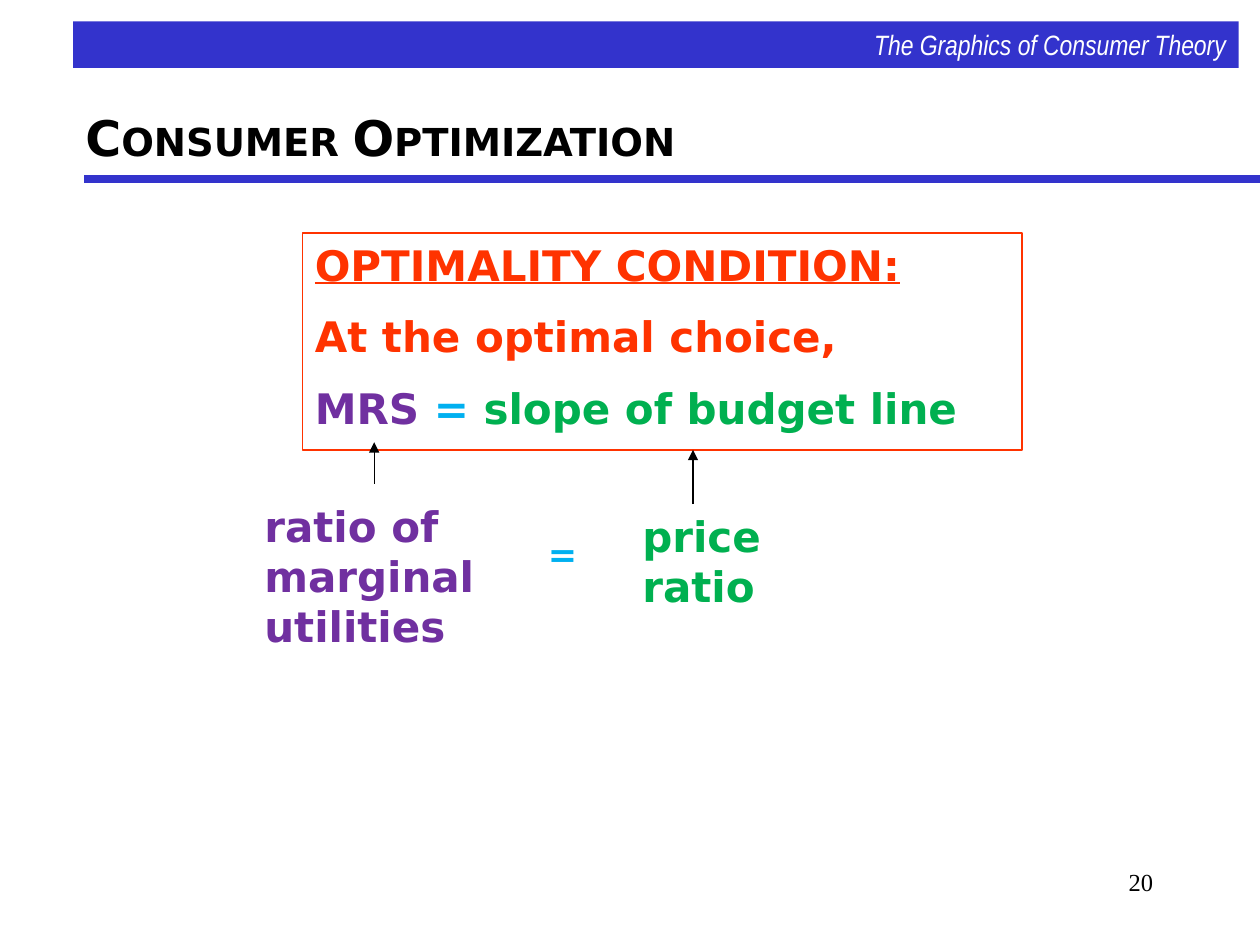
"""Build the consumer optimization slide."""
from lxml.etree import SubElement
from pptx import Presentation
from pptx.dml.color import RGBColor
from pptx.enum.shapes import MSO_CONNECTOR as Connector, MSO_SHAPE as Shape
from pptx.enum.text import MSO_ANCHOR as Anchor, PP_ALIGN as Align
from pptx.oxml.ns import qn
from pptx.util import Inches, Pt

BLUE, RED, PURPLE, CYAN, GREEN = "3333CC", "FF3300", "7030A0", "00B0F0", "00B050"
BLACK, WHITE = "000000", "FFFFFF"


def color(value):
    return RGBColor.from_string(value)


def write(box, paragraphs, font="DejaVu Sans", bold=True, align=Align.LEFT, anchor=Anchor.TOP):
    frame = box.text_frame
    frame.word_wrap = True
    frame.vertical_anchor = anchor
    for index, spans in enumerate(paragraphs):
        para = frame.add_paragraph() if index else frame.paragraphs[0]
        para.alignment = align
        para.space_before = Pt(12 if index else 0)
        for text, size, tint in spans:
            span = para.add_run()
            span.text = text
            span.font.name = font
            span.font.size = Pt(size)
            span.font.bold = bold
            span.font.color.rgb = color(tint)


deck = Presentation()
deck.slide_width, deck.slide_height = Inches(10), Inches(7.5)
page = deck.slides.add_slide(deck.slide_layouts[6])

number = page.shapes.add_textbox(Inches(7.17), Inches(6.83), Inches(2.08), Inches(0.5))
write(number, [[("20", 14, BLACK)]], "Times New Roman", False, Align.RIGHT)

title = page.shapes.add_textbox(Inches(0.58), Inches(0.67), Inches(8.67), Inches(0.83))
title_spans = [("C", 28, BLACK), ("ONSUMER ", 22, BLACK), ("O", 28, BLACK), ("PTIMIZATION", 22, BLACK)]
write(title, [title_spans], anchor=Anchor.MIDDLE)

banner = page.shapes.add_shape(Shape.RECTANGLE, Inches(0.58), Inches(0.17), Inches(9.25), Inches(0.37))
banner.shadow.inherit = False
banner.fill.solid()
banner.fill.fore_color.rgb = color(BLUE)
banner.line.fill.background()
write(banner, [[("The Graphics of Consumer Theory", 16, WHITE)]], "Arial Narrow", False, Align.RIGHT)
banner.text_frame.paragraphs[0].runs[0].font.italic = True

condition = page.shapes.add_shape(Shape.RECTANGLE, Inches(2.4), Inches(1.85), Inches(5.71), Inches(1.72))
condition.shadow.inherit = False
condition.fill.background()
condition.line.color.rgb = color(RED)
condition.line.width = Pt(1)
write(condition, [
    [("OPTIMALITY CONDITION:", 24, RED)],
    [("At the optimal choice,", 24, RED)],
    [("MRS ", 24, PURPLE), ("= ", 24, CYAN), ("slope of budget line", 24, GREEN)],
])
condition.text_frame.paragraphs[0].runs[0].font.underline = True

for x1, y1, x2, y2, tint, width, arrow in [
    (0.67, 1.42, 10, 1.42, BLUE, 4.5, False),
    (5.5, 4, 5.5, 3.57, BLACK, 0.75, True),
    (2.97, 3.84, 2.97, 3.51, BLACK, 0.75, True),
]:
    line = page.shapes.add_connector(Connector.STRAIGHT, Inches(x1), Inches(y1), Inches(x2), Inches(y2))
    line.line.color.rgb = color(tint)
    line.line.width = Pt(width)
    if arrow:
        SubElement(line.line._get_or_add_ln(), qn("a:tailEnd"), type="triangle")
    SubElement(line._element.spPr, qn("a:effectLst"))

for left, top, width, height, text, size, tint in [
    (2, 3.92, 2, 1.31, "ratio of marginal utilities", 24, PURPLE),
    (4.25, 4.18, 0.33, 0.44, "=", 20, CYAN),
    (5, 4, 1.17, 0.91, "price ratio", 24, GREEN),
]:
    label = page.shapes.add_textbox(Inches(left), Inches(top), Inches(width), Inches(height))
    write(label, [[(text, size, tint)]])

deck.save("out.pptx")
